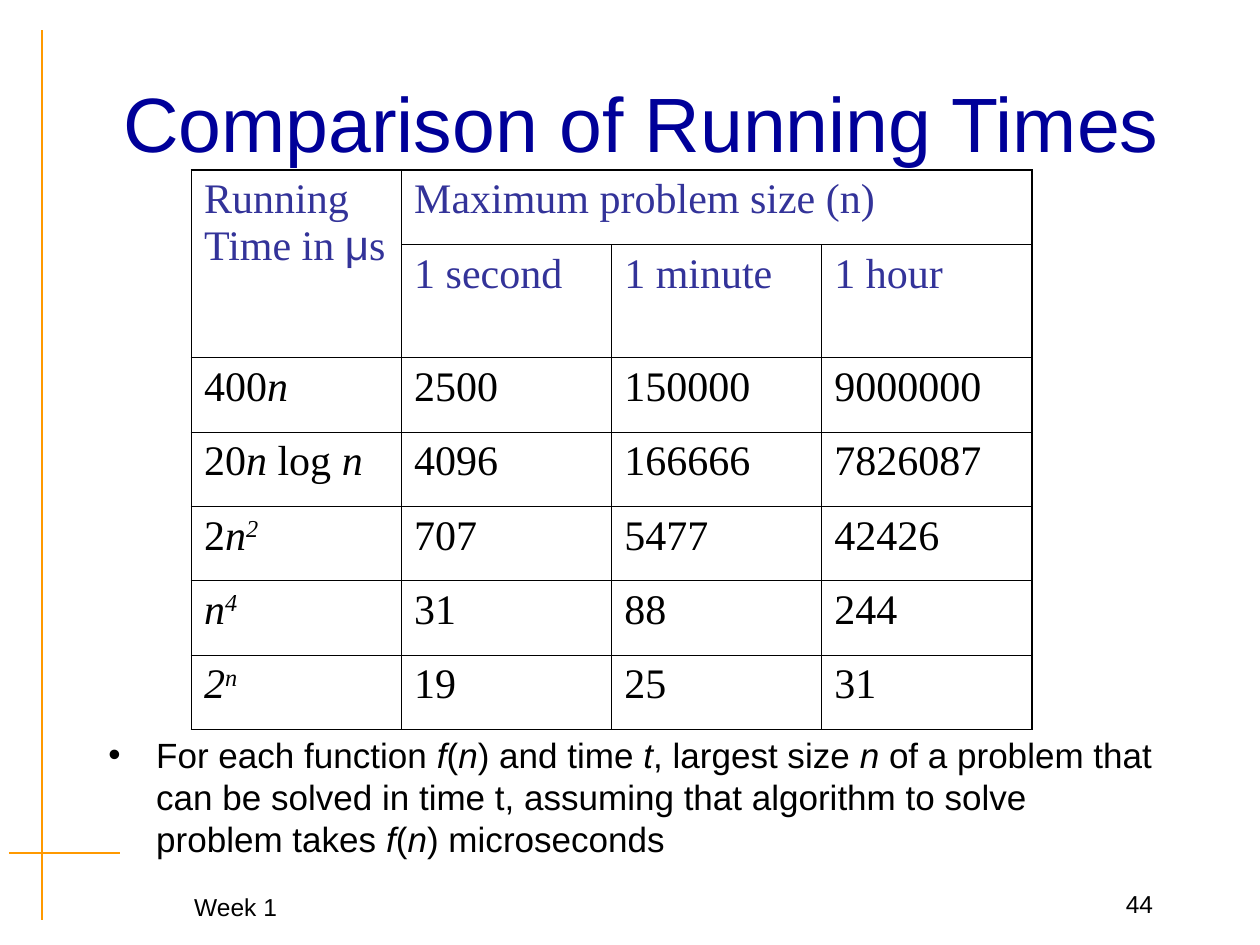
"""Build the slide comparing running times of algorithms."""
from lxml import etree
from pptx import Presentation
from pptx import util as u
from pptx.dml.color import RGBColor
from pptx.enum import shapes, text
from pptx.oxml import ns

NAVY = RGBColor(0x00, 0x00, 0x99)
BLUE = RGBColor(0x33, 0x33, 0x99)
BLACK = RGBColor(0x00, 0x00, 0x00)
GOLD = RGBColor(0xFF, 0x99, 0x00)
SANS, SERIF = "Arial", "Times New Roman"
THICK, THIN = 1.08, 0.45
ROWS = [
    ["Running\nTime in _μ_s", "Maximum problem size (n)", "", ""],
    ["", "1 second", "1 minute", "1 hour"],
    ["400*n*", "2500", "150000", "9000000"],
    ["20*n* log *n*", "4096", "166666", "7826087"],
    ["2*n^2^*", "707", "5477", "42426"],
    ["*n^4^*", "31", "88", "244"],
    ["*2^n^*", "19", "25", "31"],
]
NOTE = ("For each function *f*(*n*) and time *t*, largest size *n* of a problem "
        "that can be solved in time t, assuming that algorithm to solve problem "
        "takes *f*(*n*) microseconds")


def split(line):
    """Yield runs with their marks: * italic, ^ raised, _ sans symbol."""
    marks, run = set(), ""
    for char in line:
        if char not in "*^_":
            run += char
            continue
        if run:
            yield run, frozenset(marks)
        marks, run = marks ^ {char}, ""
    if run:
        yield run, frozenset(marks)


def write(frame, words, size=24, font=SERIF, color=BLACK, align=text.PP_ALIGN.LEFT):
    """Fill a text frame with marked-up lines in one format."""
    frame.word_wrap = True
    for i, line in enumerate(words.split("\n")):
        para = frame.add_paragraph() if i else frame.paragraphs[0]
        para.alignment = align
        para.space_before = u.Pt(0)
        for chunk, marks in split(line):
            run = para.add_run()
            run.text = chunk
            run.font.size = u.Pt(size)
            run.font.name = SANS if "_" in marks else font
            run.font.color.rgb = color
            run.font.italic = "*" in marks
            if "^" in marks:
                run.font._element.set("baseline", "30000")


def place(shape, *box):
    """Move and size a shape."""
    shape.left, shape.top, shape.width, shape.height = map(u.Inches, box)


def rule(slide, *ends):
    """Draw one gold line."""
    line = slide.shapes.add_connector(
        shapes.MSO_CONNECTOR.STRAIGHT, *map(u.Inches, ends))
    line.line.color.rgb = GOLD
    line.line.width = u.Pt(1.19)
    etree.SubElement(line._element.spPr, ns.qn("a:effectLst"))


def label(slide, box, words, align):
    """Add a small footer text."""
    area = slide.shapes.add_textbox(*map(u.Inches, box))
    write(area.text_frame, words, size=14, font=SANS, align=align)


def edge(cell, side, width):
    """Add a black border on one side of a cell."""
    line = etree.SubElement(
        cell._tc.get_or_add_tcPr(), ns.qn("a:ln" + side), w=str(u.Pt(width)))
    fill = etree.SubElement(line, ns.qn("a:solidFill"))
    etree.SubElement(fill, ns.qn("a:srgbClr"), val=str(BLACK))


def grid(slide):
    """Add the table of problem sizes."""
    high, wide = len(ROWS), len(ROWS[0])
    table = slide.shapes.add_table(
        high, wide, *map(u.Inches, (1.52, 1.35, 6.67, 4.44))).table
    table.first_row = table.horz_banding = False
    for r, row in enumerate(table.rows):
        row.height = u.Inches(0.9 if r == 1 else 0.59)
    table.cell(0, 0).merge(table.cell(1, 0))
    table.cell(0, 1).merge(table.cell(0, 3))
    for r, row in enumerate(ROWS):
        for c, words in enumerate(row):
            cell = table.cell(r, c)
            right = c + (cell.span_width if cell.is_merge_origin else 1)
            outer = {"L": c == 0, "R": right == wide,
                     "T": r == 0, "B": r == high - 1}
            for side, out in outer.items():
                edge(cell, side, THICK if out else THIN)
            cell.fill.background()
            if words:
                write(cell.text_frame, words, color=BLUE if r < 2 else BLACK)


def head(slide):
    """Set the title."""
    title = slide.shapes.title
    place(title, 0.84, 0.34, 8.5, 1.25)
    frame = title.text_frame
    frame.margin_left = frame.margin_right = 0
    frame.margin_top = frame.margin_bottom = 0
    frame.vertical_anchor = text.MSO_ANCHOR.MIDDLE
    write(frame, "Comparison of Running Times", size=44, font=SANS,
          color=NAVY, align=text.PP_ALIGN.CENTER)


def note(slide):
    """Set the bulleted explanation."""
    body = slide.placeholders[1]
    place(body, 0.76, 5.77, 8.49, 0.99)
    frame = body.text_frame
    frame.auto_size = text.MSO_AUTO_SIZE.NONE
    write(frame, NOTE, size=20, font=SANS)
    props = frame.paragraphs[0]._p.get_or_add_pPr()
    props.set("marL", str(u.Inches(0.38)))
    props.set("indent", str(u.Inches(-0.38)))


def main():
    """Build and save the slide."""
    deck = Presentation()
    deck.slide_width, deck.slide_height = u.Inches(10), u.Inches(7.5)
    slide = deck.slides.add_slide(deck.slide_layouts[1])
    rule(slide, 0.33, 0.24, 0.33, 7.3)
    rule(slide, 0.07, 6.77, 0.95, 6.77)
    head(slide)
    grid(slide)
    note(slide)
    label(slide, (0.88, 7.03, 1.98, 0.34), "Week 1", text.PP_ALIGN.CENTER)
    label(slide, (7.17, 7.01, 2.08, 0.5), "44", text.PP_ALIGN.RIGHT)
    deck.save("out.pptx")


if __name__ == "__main__":
    main()
